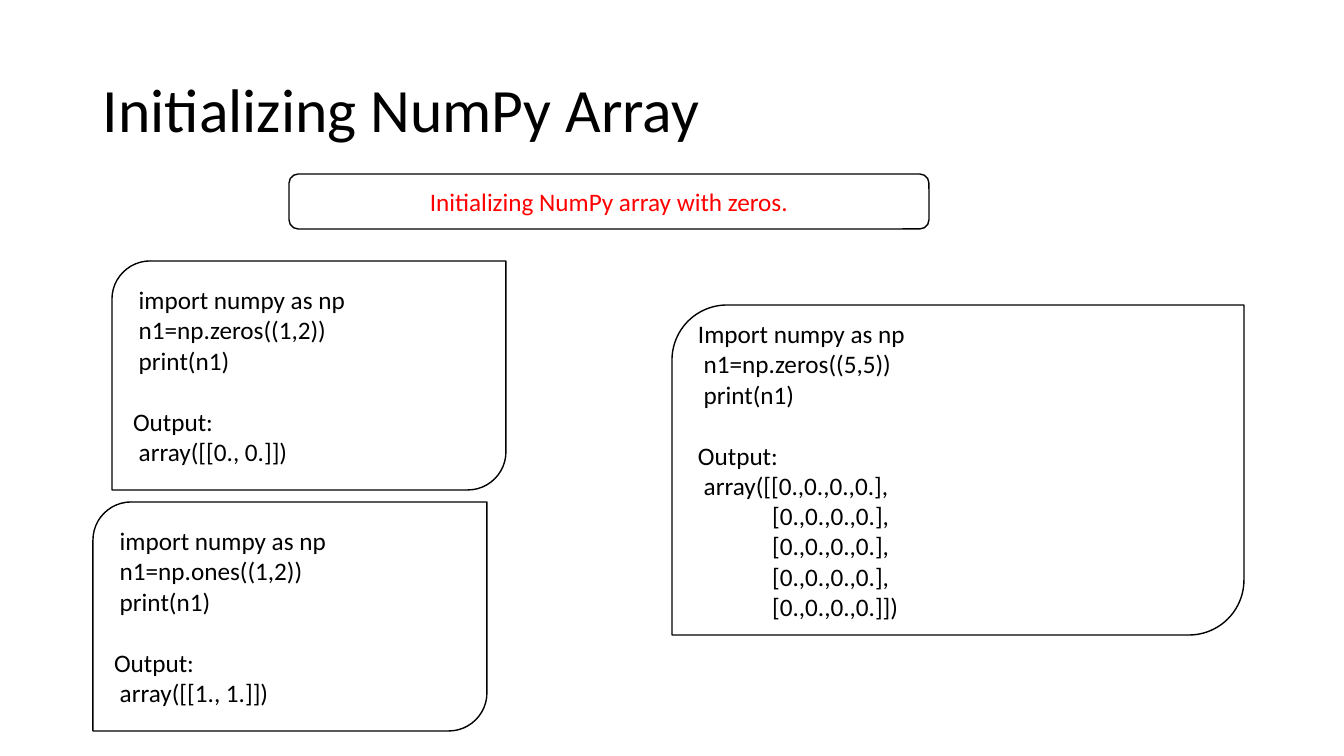
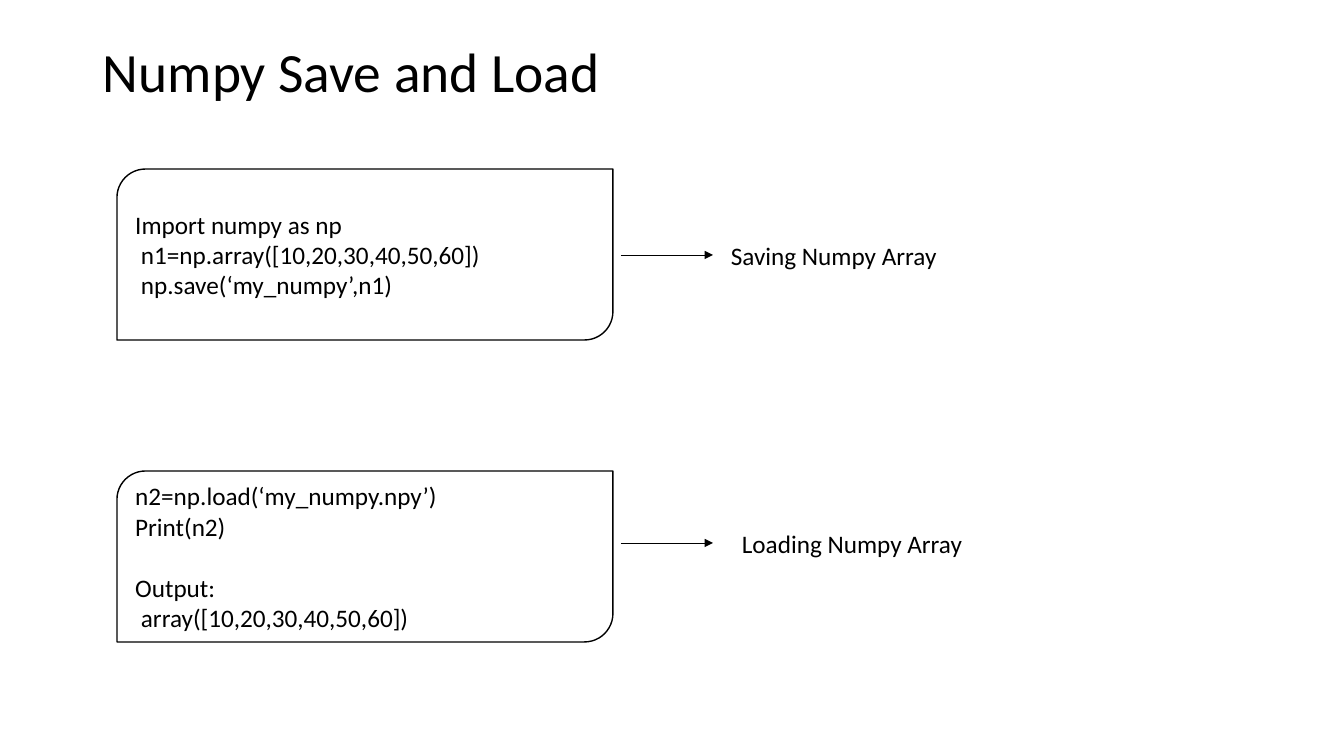
import pptx
import pptx.util
import pptx.dml.color
import pptx.enum.dml
import pptx.enum.shapes
import pptx.enum.text
import pptx.oxml.ns
import lxml.etree

COLORS = {"ink": "000000", "paper": "FFFFFF", "accent": "FF0000"}
FONT = "Calibri"
SCALE = 914400 / 100.8
SPACE = 4.07  # width of one space at 18 pt
LINE = 22  # height of one line at 18 pt

SHAPE = pptx.enum.shapes.MSO_SHAPE
ALIGN = pptx.enum.text.PP_ALIGN
ANCHOR = pptx.enum.text.MSO_ANCHOR
FIT = pptx.enum.text.MSO_AUTO_SIZE


def px(*nums):
    """Turn pixels into a list of EMU lengths."""
    return [pptx.util.Emu(round(num * SCALE)) for num in nums]


def color(name):
    """Look up a colour by name."""
    return pptx.dml.color.RGBColor.from_string(COLORS[name])


def write(para, text, size=18, ink="ink", align=ALIGN.LEFT, indent=0,
          before=0, spacing=1.0):
    """Fill one paragraph with formatted text; indent counts spaces."""
    para.alignment = align
    para.line_spacing = spacing
    para.space_before = pptx.util.Pt(before)
    if indent:
        left = pptx.util.Pt(indent * SPACE)
        para._p.get_or_add_pPr().set("marL", str(left))
    run = para.add_run()
    run.text = text
    run.font.name = FONT
    run.font.size = pptx.util.Pt(size)
    run.font.color.rgb = color(ink)


def title(slide, text, box, size=44):
    """Add the slide title."""
    frame = slide.shapes.add_textbox(*px(*box)).text_frame
    frame.word_wrap = True
    frame.vertical_anchor = ANCHOR.MIDDLE
    write(frame.paragraphs[0], text, size=size, spacing=0.9)


def panel(slide, kind, box):
    """Add an outlined white shape and return its text frame."""
    shape = slide.shapes.add_shape(kind, *px(*box))
    shape.shadow.inherit = False
    shape.fill.solid()
    shape.fill.fore_color.rgb = color("paper")
    shape.line.color.rgb = color("ink")
    shape.line.width = pptx.util.Pt(1)
    frame = shape.text_frame
    frame.word_wrap = True
    frame.vertical_anchor = ANCHOR.MIDDLE
    return frame


def banner(slide, text, box):
    """Add a rounded box with a centred red heading."""
    frame = panel(slide, SHAPE.ROUNDED_RECTANGLE, box)
    write(frame.paragraphs[0], text, ink="accent", align=ALIGN.CENTER)


def code(slide, box, source, output=()):
    """Add a code box; lines are (indent, text), output follows a gap."""
    frame = panel(slide, SHAPE.ROUND_2_DIAG_RECTANGLE, box)
    lines = list(source)
    if output:
        lines += [(0, "Output:"), *output]
    for num, (indent, text) in enumerate(lines):
        para = frame.add_paragraph() if num else frame.paragraphs[0]
        gap = LINE if num == len(source) else 0
        write(para, text, indent=indent, before=gap)


def arrow(slide, left, right, mid):
    """Add a thin level arrow that points right."""
    link = slide.shapes.add_connector(
        pptx.enum.shapes.MSO_CONNECTOR.STRAIGHT, *px(left, mid, right, mid))
    link.line.color.rgb = color("ink")
    link.line.width = pptx.util.Pt(0.5)
    name = pptx.oxml.ns.qn
    head = lxml.etree.SubElement(link.line._get_or_add_ln(), name("a:tailEnd"))
    head.set("type", "triangle")
    lxml.etree.SubElement(link._element.spPr, name("a:effectLst"))


def label(slide, text, box):
    """Add a one-line label."""
    frame = slide.shapes.add_textbox(*px(*box)).text_frame
    frame.word_wrap = False
    frame.auto_size = FIT.SHAPE_TO_FIT_TEXT
    write(frame.paragraphs[0], text)


def arrays(slide):
    """Build the slide on array creation."""
    title(slide, "Initializing NumPy Array", (93, 40, 1159, 146))
    banner(slide, "Initializing NumPy array with zeros.", (289, 174, 640, 55))
    small = [(112, 261, "zeros", "0., 0."), (93, 502, "ones", "1., 1.")]
    for left, top, func, vals in small:
        code(slide, (left, top, 394, 229),
             [(1, "import numpy as np"), (1, f"n1=np.{func}((1,2))"),
              (1, "print(n1)")],
             [(1, f"array([[{vals}]])")])
    row = "[0.,0.,0.,0.]"
    code(slide, (672, 305, 572, 330),
         [(0, "Import numpy as np"), (1, "n1=np.zeros((5,5))"),
          (1, "print(n1)")],
         [(1, f"array([{row},"), *[(13, f"{row},")] * 3, (13, f"{row}])")])


def files(slide):
    """Build the slide on saving and loading."""
    title(slide, "Numpy Save and Load", (93, 40, 520, 69), size=39.6)
    vals = "array([10,20,30,40,50,60])"
    code(slide, (117, 169, 496, 171),
         [(0, "Import numpy as np"), (1, f"n1=np.{vals}"),
          (1, "np.save(‘my_numpy’,n1)")])
    code(slide, (117, 471, 496, 171),
         [(0, "n2=np.load(‘my_numpy.npy’)"), (0, "Print(n2)")],
         [(1, vals)])
    notes = [("Saving Numpy Array", 721, 228, 255),
             ("Loading Numpy Array", 732, 243, 543)]
    for text, left, width, mid in notes:
        arrow(slide, 621, 713, mid)
        label(slide, text, (left, mid - 20, width, 40))


def main():
    """Build and save the deck."""
    deck = pptx.Presentation()
    deck.slide_width, deck.slide_height = px(1344, 756)
    for build in (arrays, files):
        build(deck.slides.add_slide(deck.slide_layouts[6]))
    deck.save("out.pptx")


main()
